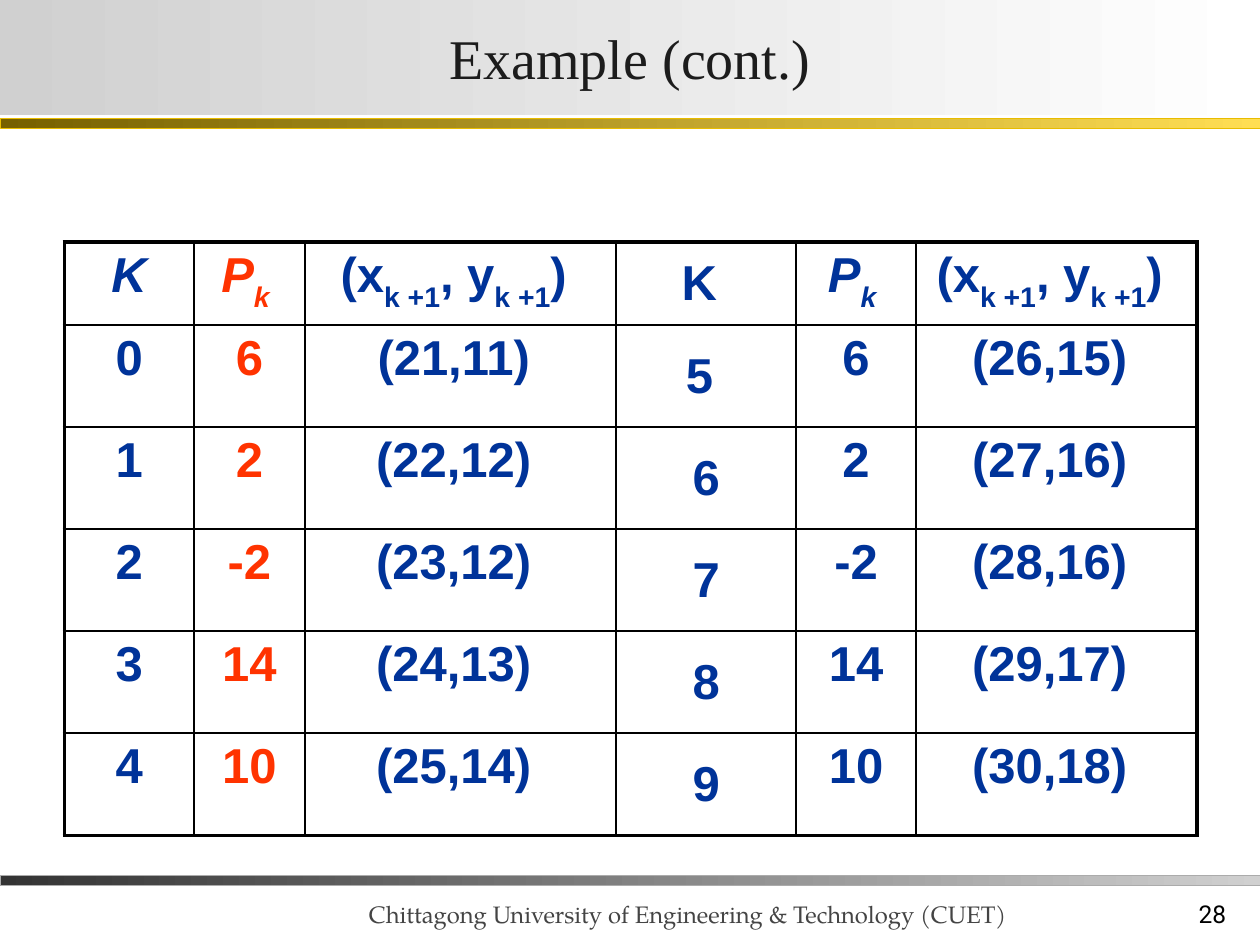
from dataclasses import dataclass

from lxml.etree import SubElement
from pptx import Presentation
from pptx.dml.color import RGBColor
from pptx.enum.shapes import MSO_SHAPE
from pptx.enum.text import MSO_ANCHOR, PP_ALIGN
from pptx.oxml import parse_xml
from pptx.oxml.ns import nsdecls, qn
from pptx.util import Inches, Pt

COLORS = {
    "navy": "003399", "red": "FF3300", "black": "000000",
    "title": "1C1C1C", "footer": "444444",
    "silver": "D0D0D0", "white": "FFFFFF",
    "charcoal": "333333", "gray_line": "ABABAB",
    "bronze": "766000", "gold": "FFDE53", "gold_line": "E8BC00",
}


@dataclass
class Bar:
    top: float
    start: str
    end: str
    line: str


@dataclass
class Label:
    text: str
    box: tuple[float, float, float, float]
    size: float
    font: str
    color: str
    align: PP_ALIGN


@dataclass
class Column:
    """Header parts alternate between baseline and subscript."""
    header: tuple[str, ...]
    values: tuple[str, ...]
    width: float
    color: str = "navy"
    italic: bool = False
    anchor: MSO_ANCHOR = MSO_ANCHOR.TOP


POINT = ("(x", "k +1", ", y", "k +1", ") ")
P_VALUES = ("6", "2", "-2", "14", "10")
COLUMNS = [
    Column(("K",), ("0", "1", "2", "3", "4"), 1.03, italic=True),
    Column(("P", "k "), P_VALUES, 0.88, "red", italic=True),
    Column(POINT, ("(21,11) ", "(22,12) ", "(23,12) ", "(24,13) ", "(25,14) "), 2.47),
    Column(("K ",), ("5 ", "6", "7", "8", "9"), 1.43, anchor=MSO_ANCHOR.MIDDLE),
    Column(("P", "k "), P_VALUES, 0.95, italic=True),
    Column(POINT, ("(26,15) ", "(27,16) ", "(28,16) ", "(29,17) ", "(30,18) "), 2.23),
]
HEADER_HEIGHT, ROW_HEIGHT = 0.66, 0.81
BARS = [
    Bar(6.95, "charcoal", "silver", "gray_line"),
    Bar(0.94, "bronze", "gold", "gold_line"),
]
LABELS = [
    Label("28", (7.75, 6.92, 2.08, 0.5), 14, "Roboto", "black", PP_ALIGN.RIGHT),
    Label("Chittagong University of Engineering & Technology (CUET)",
          (2.83, 6.8, 5.42, 0.62), 13.6, "TeX Gyre Pagella", "footer", PP_ALIGN.LEFT),
]


def rgb(name: str) -> RGBColor:
    return RGBColor.from_string(COLORS[name])


def style_run(r, size: float, font: str, color: str) -> None:
    r.font.size = Pt(size)
    r.font.name = font
    r.font.color.rgb = rgb(color)


def fill_gradient(sp, start: str, end: str) -> None:
    sp.fill.gradient()
    sp.fill.gradient_angle = 0
    for stop, color in zip(sp.fill.gradient_stops, (start, end)):
        stop.color.rgb = rgb(color)


def add_title(s, text: str) -> None:
    sp = s.shapes.title
    sp.left, sp.top, sp.width, sp.height = (Inches(v) for v in (0, 0, 10, 0.91))
    fill_gradient(sp, "silver", "white")
    tf = sp.text_frame
    tf.text = text
    tf.vertical_anchor = MSO_ANCHOR.MIDDLE
    tf.margin_left = tf.margin_right = Inches(0.02)
    tf.margin_top = tf.margin_bottom = Inches(0.01)
    p = tf.paragraphs[0]
    p.alignment = PP_ALIGN.CENTER
    style_run(p.runs[0], 32, "Times New Roman", "title")


def add_bar(s, bar: Bar) -> None:
    sp = s.shapes.add_shape(MSO_SHAPE.RECTANGLE, 0, Inches(bar.top), Inches(10), Inches(0.08))
    sp.shadow.inherit = False
    fill_gradient(sp, bar.start, bar.end)
    sp.line.color.rgb = rgb(bar.line)
    sp.line.width = Pt(0.25)


def add_label(s, label: Label) -> None:
    tf = s.shapes.add_textbox(*(Inches(v) for v in label.box)).text_frame
    tf.word_wrap = True
    tf.vertical_anchor = MSO_ANCHOR.BOTTOM
    tf.text = label.text
    p = tf.paragraphs[0]
    p.alignment = label.align
    style_run(p.runs[0], label.size, label.font, label.color)


def set_borders(cell, outer: dict[str, bool]) -> None:
    """Draw each side thick where it lies on the table's outer edge."""
    tcPr = cell._tc.get_or_add_tcPr()
    for i, (side, thick) in enumerate(outer.items()):
        ln = parse_xml(f'<a:ln{side} {nsdecls("a")} w="{Pt(2.25 if thick else 1)}"/>')
        fill = SubElement(ln, qn("a:solidFill"))
        SubElement(fill, qn("a:srgbClr"), val=COLORS["black"])
        tcPr.insert(i, ln)


def write_cell(cell, parts: tuple[str, ...], column: Column, italic: bool) -> None:
    cell.fill.background()
    cell.vertical_anchor = column.anchor
    p = cell.text_frame.paragraphs[0]
    p.alignment = PP_ALIGN.CENTER
    p.space_before = Pt(5.6)
    for i, part in enumerate(parts):
        r = p.add_run()
        r.text = part
        style_run(r, 28, "Arial", column.color)
        r.font.bold = True
        r.font.italic = italic
        if i % 2:
            r._r.get_or_add_rPr().set("baseline", "-30000")


def add_value_table(s, columns: list[Column]) -> None:
    n_rows = len(columns[0].values) + 1
    frame = s.shapes.add_table(n_rows, len(columns), Inches(0.51), Inches(1.92),
                               Inches(sum(c.width for c in columns)),
                               Inches(HEADER_HEIGHT + ROW_HEIGHT * (n_rows - 1)))
    table = frame.table
    table.first_row = table.horz_banding = False
    for i, row in enumerate(table.rows):
        row.height = Inches(ROW_HEIGHT if i else HEADER_HEIGHT)
    for j, column in enumerate(columns):
        table.columns[j].width = Inches(column.width)
        contents = [column.header] + [(value,) for value in column.values]
        for i, parts in enumerate(contents):
            cell = table.cell(i, j)
            write_cell(cell, parts, column, column.italic and i == 0)
            set_borders(cell, {"L": j == 0, "R": j == len(columns) - 1,
                               "T": i == 0, "B": i == n_rows - 1})


def main() -> None:
    prs = Presentation()
    prs.slide_width, prs.slide_height = Inches(10), Inches(7.5)
    s = prs.slides.add_slide(prs.slide_layouts[5])
    for label in LABELS:
        add_label(s, label)
    for bar in BARS:
        add_bar(s, bar)
    add_title(s, "Example (cont.)")
    add_value_table(s, COLUMNS)
    prs.save("out.pptx")


if __name__ == "__main__":
    main()
